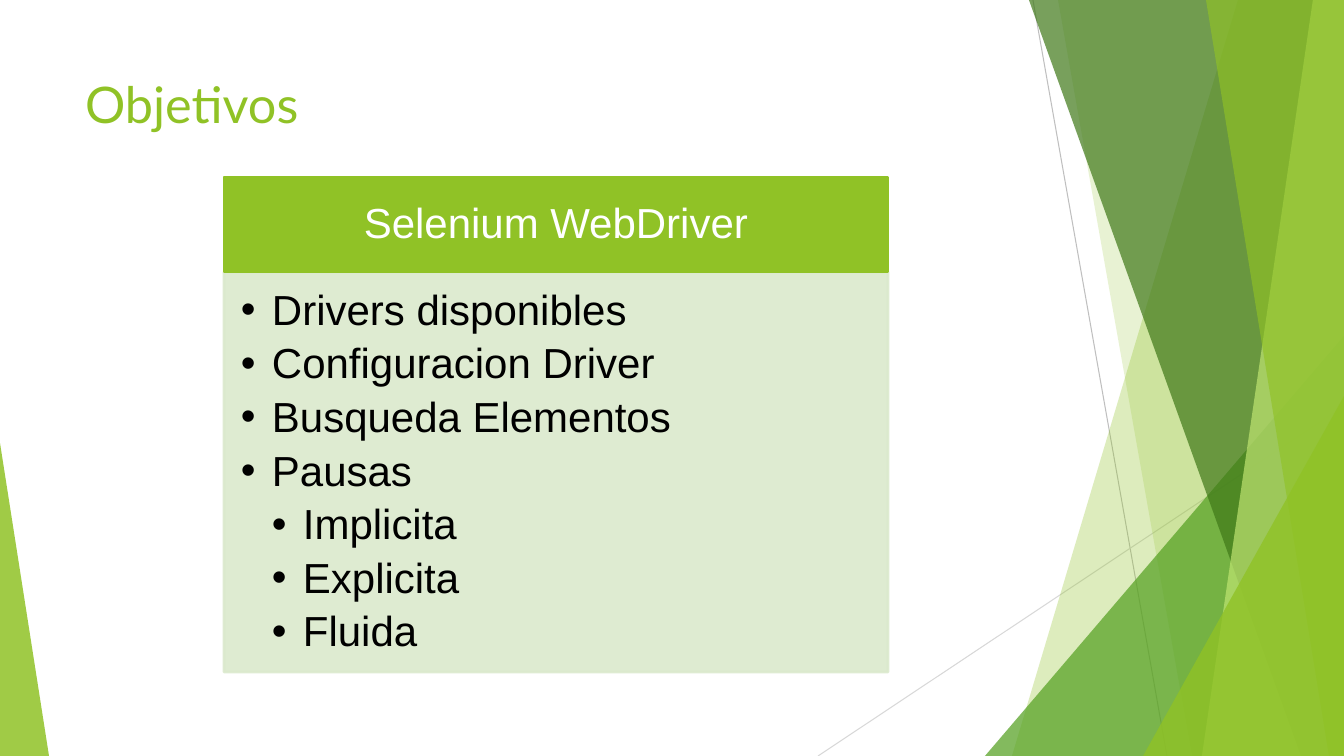
from dataclasses import dataclass
from pptx import Presentation
from pptx.dml.color import RGBColor as RGB
from pptx.enum.shapes import MSO_CONNECTOR as LINK, MSO_SHAPE as SHAPE
from pptx.enum.text import MSO_ANCHOR as ANCHOR, MSO_AUTO_SIZE as AUTO, PP_ALIGN as ALIGN
from pptx.oxml.ns import qn
from pptx.util import Pt

UNIT = 914400 / 100.8
WIDE, HIGH = 1344, 756


@dataclass(frozen=True)
class Theme:
    """Colours, fonts and type sizes."""
    lime: str = "90C226"
    green: str = "54A021"
    dark: str = "3F7818"
    light: str = "BFE471"
    pale: str = "DBE9CD"
    gray: str = "BFBFBF"
    mist: str = "D8D8D8"
    white: str = "FFFFFF"
    black: str = "000000"
    head: str = "Lato"
    body: str = "Arial"
    big: int = 36
    mid: int = 30


THEME = Theme()


def emu(size):
    """Turn pixels into EMU."""
    return round(size * UNIT)


def place(shape, box):
    """Move and size a shape to a pixel box."""
    shape.left, shape.top, shape.width, shape.height = map(emu, box)


def paint(shape, color, alpha=100, edge=0):
    """Fill a shape and give it a matching edge, both see-through by alpha."""
    shape.fill.solid()
    shape.fill.fore_color.rgb = RGB.from_string(color)
    if edge:
        shape.line.color.rgb = RGB.from_string(color)
        shape.line.width = Pt(edge)
    else:
        shape.line.fill.background()
    if alpha < 100:
        for tone in shape.element.spPr.iter(qn("a:srgbClr")):
            tone.makeelement(qn("a:alpha"))
            tone.append(tone.makeelement(qn("a:alpha"), {"val": str(alpha * 1000)}))


def mark(para, level, step):
    """Give a paragraph a bullet and a hanging indent."""
    para.level = level
    props = para._p.get_or_add_pPr()
    props.set("marL", str(emu(step * (level + 1))))
    props.set("indent", str(-emu(step)))
    props.append(props.makeelement(qn("a:buChar"), {"char": "•"}))


def write(shape, rows, *, font, size, color, pads, align=ALIGN.LEFT,
          anchor=ANCHOR.TOP, pitch=1.0, after=0, step=0):
    """Write (text, level) rows into a shape, with bullets if step is set."""
    frame = shape.text_frame
    frame.word_wrap, frame.auto_size = True, AUTO.NONE
    frame.vertical_anchor = anchor
    (frame.margin_left, frame.margin_top,
     frame.margin_right, frame.margin_bottom) = map(emu, pads)
    for spot, (text, level) in enumerate(rows):
        para = frame.add_paragraph() if spot else frame.paragraphs[0]
        para.alignment, para.line_spacing = align, pitch
        para.space_before, para.space_after = Pt(0), Pt(after)
        if step:
            mark(para, level, step)
        run = para.add_run()
        run.text = text
        run.font.name, run.font.size = font, Pt(size)
        run.font.color.rgb = RGB.from_string(color)


def line(slide, start, end, color):
    """Draw a thin straight line."""
    link = slide.shapes.add_connector(LINK.STRAIGHT, *map(emu, start + end))
    link.line.color.rgb = RGB.from_string(color)
    link.line.width = Pt(0.75)
    props = link.element.spPr
    props.append(props.makeelement(qn("a:effectLst")))


def band(slide, box, top, foot, color, alpha):
    """Draw a full-height band from a slanted left edge to the box's right."""
    left, y, wide, high = box
    right, base = left + wide, y + high
    pen = slide.shapes.build_freeform(left + top, y, scale=UNIT)
    pen.add_line_segments([(right, y), (right, base), (left + foot, base)])
    shape = pen.convert_to_shape()
    shape.shadow.inherit = False
    paint(shape, color, alpha)


def wedge(slide, box, wide, high, color, alpha, apex=1):
    """Draw a right triangle in a lower corner of the box."""
    left, y, full, tall = box
    shape = slide.shapes.add_shape(SHAPE.ISOSCELES_TRIANGLE, 0, 0, 0, 0)
    place(shape, (left + apex * (full - wide), y + tall - high, wide, high))
    shape.adjustments[0] = apex
    shape.shadow.inherit = False
    paint(shape, color, alpha)


def facets(slide, box):
    """Draw the see-through facets along the sides of the box."""
    left, top, wide, high = box
    right, base = left + wide, top + high
    line(slide, (left + 1033, top), (left + 1167, base), THEME.gray)
    line(slide, (right, top + 406), (left + 818, base), THEME.mist)
    band(slide, box, 1238, 1012, THEME.lime, 30)
    band(slide, box, 1058, 1192, THEME.lime, 20)
    wedge(slide, box, 359, 420, THEME.green, 72)
    band(slide, box, 1029, 1301, THEME.dark, 70)
    band(slide, box, 1313, 1202, THEME.light, 70)
    band(slide, box, 1206, 1329, THEME.lime, 65)
    wedge(slide, box, 201, 360, THEME.lime, 80)
    wedge(slide, box, 49, 313, THEME.lime, 85, apex=0)


def title(slide, box, text):
    """Set the slide title."""
    shape = slide.shapes.title
    place(shape, box)
    write(shape, [(text, 0)], font=THEME.head, size=THEME.big,
          color=THEME.lime, pads=(10, 5, 10, 5))


def card(slide, box, head, rows):
    """Place a heading bar above a bulleted panel."""
    left, top, wide, high = box
    bar = 95
    shape = slide.shapes.add_shape(SHAPE.RECTANGLE, 0, 0, 0, 0)
    place(shape, (left, top, wide, bar))
    shape.shadow.inherit = False
    paint(shape, THEME.lime, edge=2)
    write(shape, [(head, 0)], font=THEME.body, size=THEME.mid,
          color=THEME.white, pads=(23, 13, 23, 13), align=ALIGN.CENTER,
          anchor=ANCHOR.MIDDLE, pitch=0.9)
    panel = slide.placeholders[1]
    place(panel, (left, top + bar, wide, high - bar))
    paint(panel, THEME.pale, 90, edge=2)
    write(panel, rows, font=THEME.body, size=THEME.mid, color=THEME.black,
          pads=(17, 17, 23, 26), pitch=0.9, after=5.9, step=31)


def main():
    """Build and save the slide."""
    deck = Presentation()
    deck.slide_width, deck.slide_height = emu(WIDE), emu(HIGH)
    slide = deck.slides.add_slide(deck.slide_layouts[1])
    facets(slide, (0, 0, WIDE, HIGH))
    title(slide, (75, 68, 948, 145), "Objetivos")
    card(slide, (224, 177, 664, 495), "Selenium WebDriver", [
        ("Drivers disponibles", 0),
        ("Configuracion Driver", 0),
        ("Busqueda Elementos", 0),
        ("Pausas", 0),
        ("Implicita", 1),
        ("Explicita", 1),
        ("Fluida", 1),
    ])
    deck.save("out.pptx")


main()
